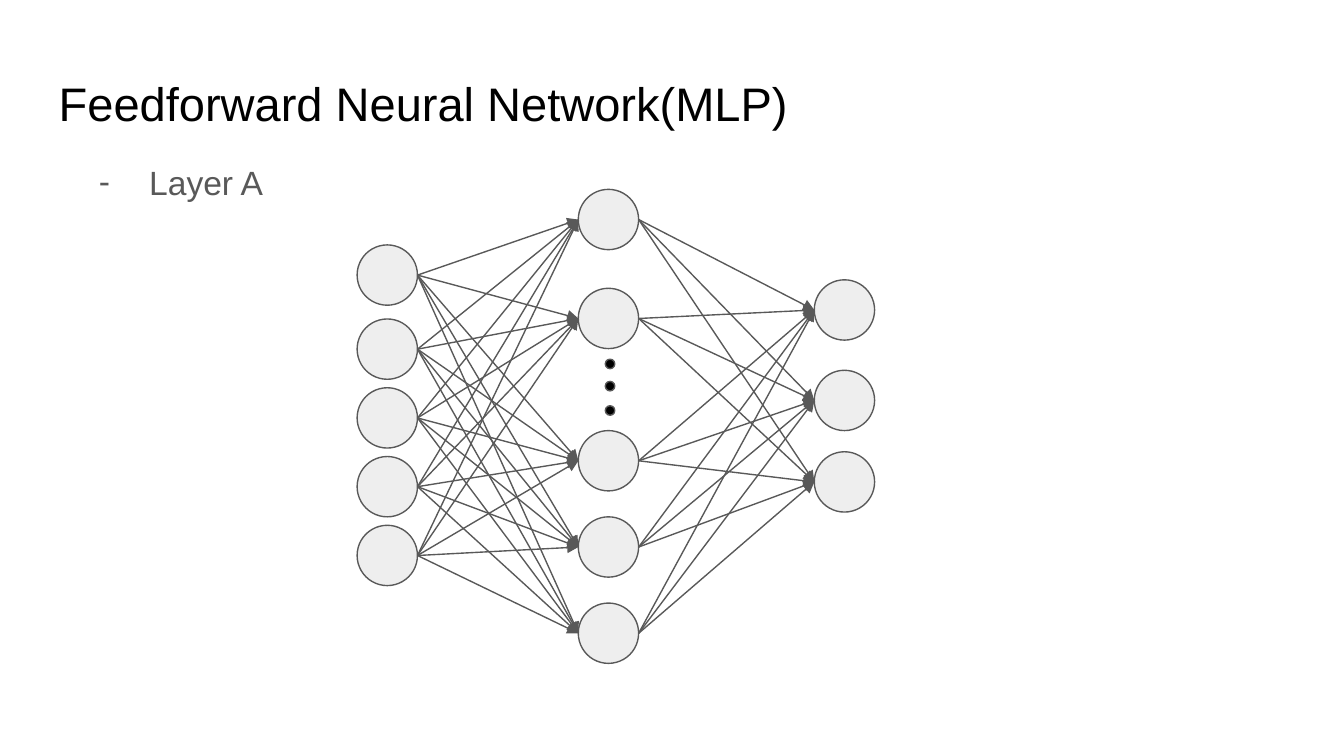
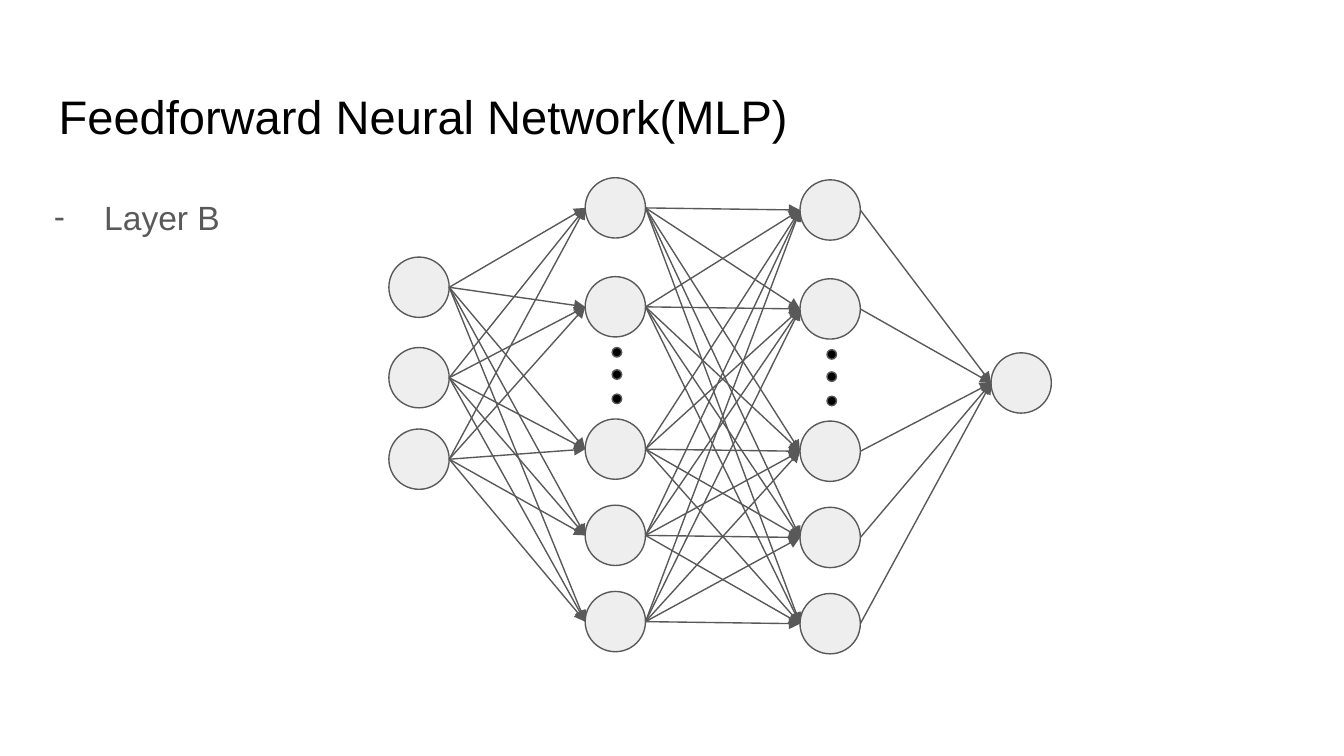
from dataclasses import dataclass
from itertools import pairwise, product

from pptx import Presentation
from pptx.dml.color import RGBColor
from pptx.enum.shapes import MSO_CONNECTOR, MSO_SHAPE
from pptx.oxml.ns import qn
from pptx.util import Cm, Pt
from lxml.etree import SubElement


@dataclass(frozen=True)
class Theme:
    font: str = "Arial"
    title: RGBColor = RGBColor(0x00, 0x00, 0x00)
    grey: RGBColor = RGBColor(0x59, 0x59, 0x59)
    node: RGBColor = RGBColor(0xEE, 0xEE, 0xEE)
    dot: RGBColor = RGBColor(0x00, 0x00, 0x00)
    title_size: float = 25.2
    body_size: float = 18
    line_width: float = 0.75


THEME = Theme()
TITLE = "Feedforward Neural Network(MLP)"

# All lengths are in centimetres.
NODE, DOT = 1.14, 0.18
DOT_SHIFT = 0.03
MARGIN, TITLE_W, TITLE_H = 0.86, 23.67, 1.6

# Node centres, measured down from the first node of a layer
FIVE = (0, 1.4, 2.7, 4, 5.3)
THREE = (0, 1.71, 3.25)
HIDDEN = (0, 1.87, 4.56, 6.19, 7.82)
HIDDEN_DOTS = (2.73, 3.15, 3.61)
SINGLE = (0,)

# Each layer: left edge, centre of the first node, node offsets, dot offsets
SLIDES = [
    {
        "title_top": 0.99,
        "label": "Layer A",
        "label_box": (1.3, 2.69, 9.93, 1.27),
        "links_behind": True,
        "layers": [
            (6.75, 5.2, FIVE, ()),
            (10.93, 4.15, HIDDEN, HIDDEN_DOTS),
            (15.39, 5.86, THREE, ()),
        ],
    },
    {
        "title_top": 1.24,
        "label": "Layer B",
        "label_box": (0.45, 3.36, 23.67, 9.5),
        "links_behind": False,
        "layers": [
            (7.35, 5.43, THREE, ()),
            (11.06, 3.93, HIDDEN, HIDDEN_DOTS),
            (15.12, 3.97, HIDDEN, HIDDEN_DOTS),
            (18.73, 7.24, SINGLE, ()),
        ],
    },
]


def add_text(slide, box, text, size, color, space_after=0):
    tf = slide.shapes.add_textbox(*map(Cm, box)).text_frame
    frame = {"word_wrap": True}
    for side in ("left", "right", "top", "bottom"):
        frame[f"margin_{side}"] = Cm(0.25)
    for name, value in frame.items():
        setattr(tf, name, value)
    p = tf.paragraphs[0]
    p.line_spacing = 1.15
    p.space_after = Pt(space_after)
    r = p.add_run()
    r.text = text
    for name, value in {"name": THEME.font, "size": Pt(size)}.items():
        setattr(r.font, name, value)
    r.font.color.rgb = color
    return p


def add_dash_bullet(p):
    pPr = p._p.get_or_add_pPr()
    pPr.set("marL", str(Cm(1.27)))
    pPr.set("indent", str(Cm(-0.95)))
    color = SubElement(pPr, qn("a:buClr"))
    SubElement(color, qn("a:srgbClr"), val=str(THEME.grey))
    SubElement(pPr, qn("a:buFont"), typeface=THEME.font)
    SubElement(pPr, qn("a:buChar"), char="-")


def style_line(line):
    line.color.rgb = THEME.grey
    line.width = Pt(THEME.line_width)


def add_circle(shapes, cx, cy, size, fill):
    sp = shapes.add_shape(
        MSO_SHAPE.OVAL, Cm(cx - size / 2), Cm(cy - size / 2), Cm(size), Cm(size)
    )
    sp.shadow.inherit = False
    sp.fill.solid()
    sp.fill.fore_color.rgb = fill
    style_line(sp.line)


def add_arrow(shapes, x1, y1, x2, y2):
    cn = shapes.add_connector(MSO_CONNECTOR.STRAIGHT, *map(Cm, (x1, y1, x2, y2)))
    style_line(cn.line)
    SubElement(cn.line._get_or_add_ln(), qn("a:tailEnd"), type="triangle")
    SubElement(cn._element.spPr, qn("a:effectLst"))


def draw_nodes(slide, layers):
    shapes = slide.shapes.add_group_shape().shapes
    for left, first, nodes, dots in layers:
        cx = left + NODE / 2
        for offset in nodes:
            add_circle(shapes, cx, first + offset, NODE, THEME.node)
        for offset in dots:
            add_circle(shapes, cx + DOT_SHIFT, first + offset, DOT, THEME.dot)


def draw_links(slide, layers):
    """Join every node to every node of the next layer."""
    for (x1, y1, starts, _), (x2, y2, ends, _) in pairwise(layers):
        for start, end in product(starts, ends):
            add_arrow(slide.shapes, x1 + NODE, y1 + start, x2, y2 + end)


def build_slide(prs, content):
    slide = prs.slides.add_slide(prs.slide_layouts[6])
    title_box = (MARGIN, content["title_top"], TITLE_W, TITLE_H)
    add_text(slide, title_box, TITLE, THEME.title_size, THEME.title, space_after=12)
    label = add_text(
        slide, content["label_box"], content["label"], THEME.body_size, THEME.grey
    )
    add_dash_bullet(label)
    steps = [draw_links, draw_nodes]
    if not content["links_behind"]:
        steps.reverse()
    for draw in steps:
        draw(slide, content["layers"])


def main():
    prs = Presentation()
    prs.slide_width, prs.slide_height = Cm(25.4), Cm(14.29)
    for content in SLIDES:
        build_slide(prs, content)
    prs.save("out.pptx")


if __name__ == "__main__":
    main()
